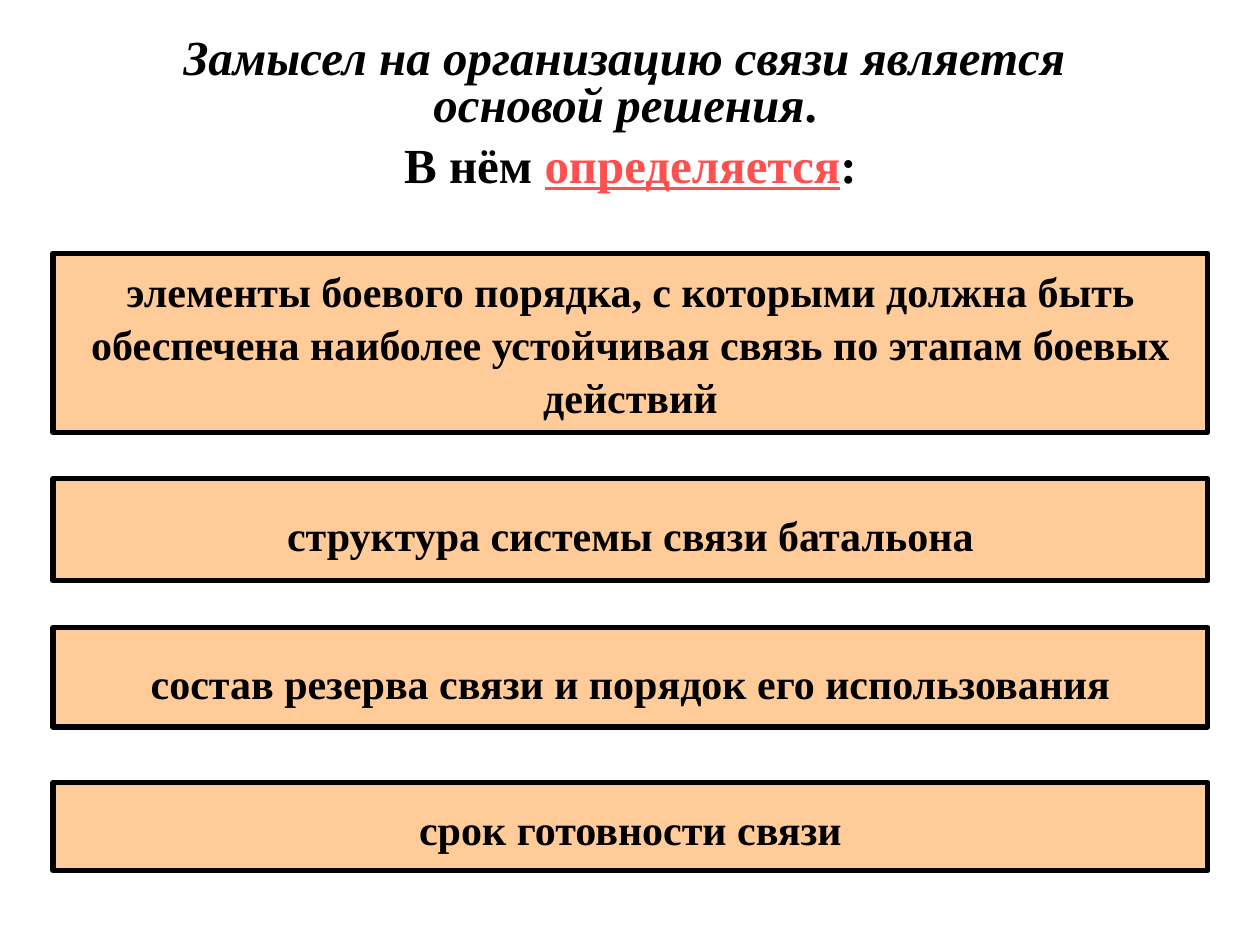
from pptx import Presentation
from pptx.dml.color import RGBColor
from pptx.enum.shapes import MSO_SHAPE
from pptx.enum.text import MSO_ANCHOR, PP_ALIGN
from pptx.util import Pt

COLORS = {"text": "000000", "accent": "FF5050", "box": "FFCC99", "line": "000000"}
LEFT, WIDTH = 30.25, 660
FRAME = {
    "word_wrap": True, "vertical_anchor": MSO_ANCHOR.MIDDLE,
    "margin_left": Pt(7.2), "margin_right": Pt(7.2),
    "margin_top": Pt(3.6), "margin_bottom": Pt(3.6),
}


def set_attrs(obj, values):
    for name, value in values.items():
        setattr(obj, name, value)


def add_run(p, text, size, color="text", **style):
    r = p.add_run()
    r.text = text
    set_attrs(r.font, {"name": "Times New Roman", "size": Pt(size), "bold": True, **style})
    r.font.color.rgb = RGBColor.from_string(COLORS[color])


prs = Presentation()
prs.slide_width, prs.slide_height = Pt(720), Pt(540)
s = prs.slides.add_slide(prs.slide_layouts[5])

# Title: line spacing and runs of each paragraph
title = [
    (1.04, [("Замысел на организацию связи является ", 28, "text", {"italic": True})]),
    (0.8, [("основой решения", 28, "text", {"italic": True}),
           (".", 28, "text", {}), (" ", 24, "text", {})]),
    (1.04, [("В нём ", 28, "text", {}),
            ("определяется", 28, "accent", {"underline": True}),
            (":", 28, "text", {})]),
]
sp = s.shapes.title
set_attrs(sp, {"left": Pt(LEFT), "top": Pt(10.8), "width": Pt(WIDTH), "height": Pt(102.25)})
tf = sp.text_frame
set_attrs(tf, FRAME)
for i, (spacing, runs) in enumerate(title):
    p = tf.add_paragraph() if i else tf.paragraphs[0]
    set_attrs(p, {"alignment": PP_ALIGN.CENTER, "line_spacing": spacing, "space_before": Pt(0)})
    for text, size, color, style in runs:
        add_run(p, text, size, color, **style)

# Boxes: top, height, line spacing, text
boxes = [
    (144.75, 102.25, 1.05, "элементы боевого порядка, с которыми должна быть обеспечена "
                           "наиболее устойчивая связь по этапам боевых действий"),
    (273.6, 58.3, 1.2, "структура системы связи батальона"),
    (358.55, 56.9, 1.2, "состав резерва связи и порядок его использования"),
    (447.1, 50.4, 1.1, "срок готовности связи"),
]
for top, height, spacing, text in boxes:
    sp = s.shapes.add_shape(MSO_SHAPE.RECTANGLE, Pt(LEFT), Pt(top), Pt(WIDTH), Pt(height))
    sp.shadow.inherit = False
    sp.fill.solid()
    sp.fill.fore_color.rgb = RGBColor.from_string(COLORS["box"])
    sp.line.color.rgb = RGBColor.from_string(COLORS["line"])
    sp.line.width = Pt(3)
    set_attrs(sp.text_frame, FRAME)
    p = sp.text_frame.paragraphs[0]
    set_attrs(p, {"alignment": PP_ALIGN.CENTER, "line_spacing": spacing})
    add_run(p, text, 24)

prs.save("out.pptx")
